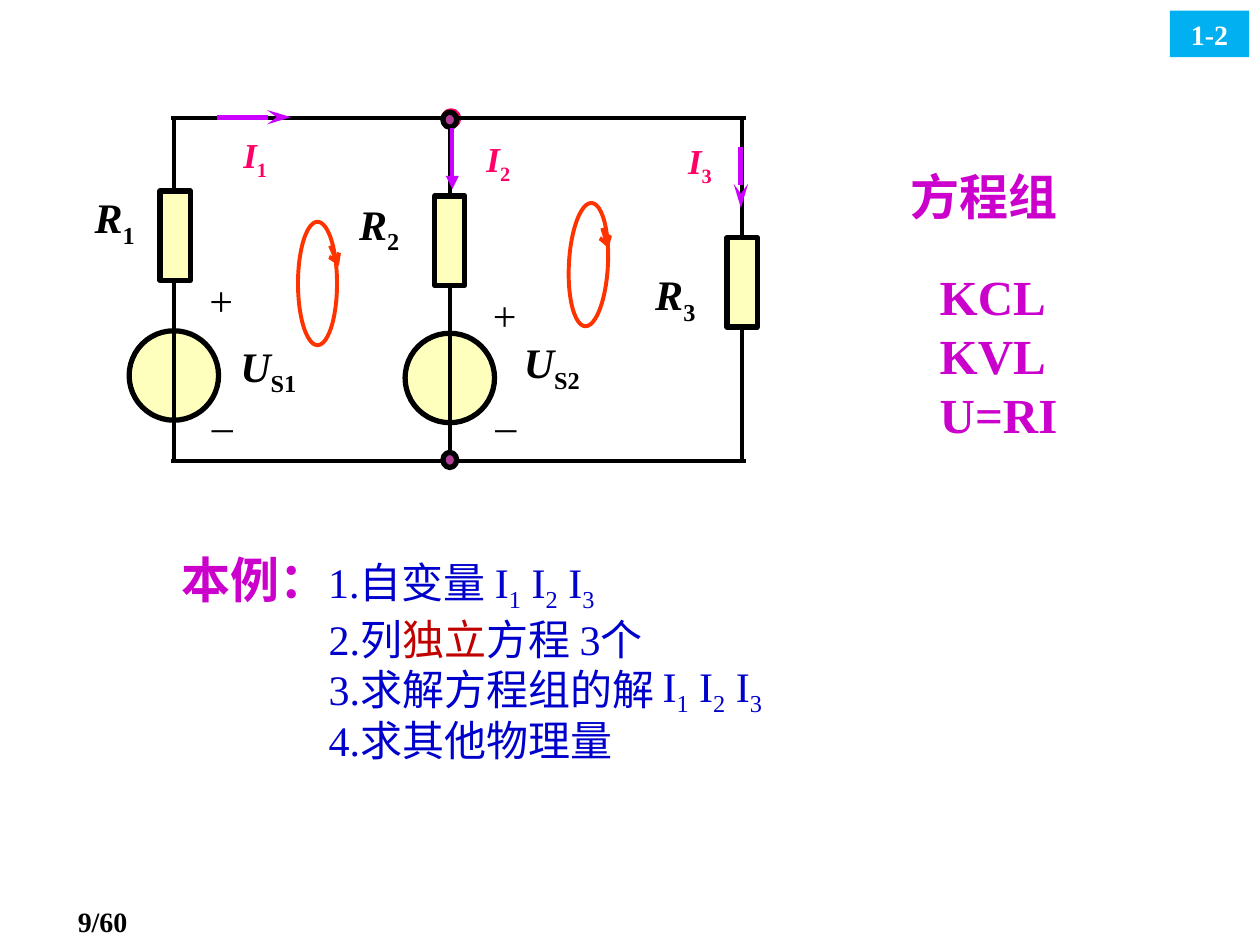
from dataclasses import dataclass

from lxml.etree import SubElement
from pptx import Presentation
from pptx.dml.color import RGBColor
from pptx.enum.shapes import MSO_CONNECTOR as Connector, MSO_SHAPE as Preset
from pptx.enum.text import MSO_ANCHOR as Anchor, PP_ALIGN as Align
from pptx.oxml.ns import qn
from pptx.util import Inches, Pt

FONT = "Times New Roman"
BLACK, WHITE, CREAM = "000000", "FFFFFF", "FFFFBD"
MAGENTA, BLUE, RED = "CC00CC", "0000CC", "C00000"
PINK, VIOLET, ORANGE, PLUM = "FF0066", "CC00FF", "FF3300", "B13F9A"
TOP, BOTTOM = 0.94, 3.66
LEFT_BRANCH, MIDDLE_BRANCH, RIGHT_BRANCH = 1.38, 3.57, 5.89


@dataclass(frozen=True)
class Style:
    size: float
    color: str
    bold: bool = False
    italic: bool = False
    subscript: bool = False


@dataclass(frozen=True)
class Label:
    symbol: str
    index: str
    left: float
    top: float
    width: float
    height: float = 0.56
    size: float = 24
    color: str = BLACK


@dataclass(frozen=True)
class Arrow:
    start: tuple[float, float]
    end: tuple[float, float]
    color: str
    width: float
    head: str
    length: str = "med"


Run = tuple[str, Style]

LABELS = [
    Label("R", "1", 0.65, 1.47, 0.52),
    Label("R", "2", 2.75, 1.52, 0.52),
    Label("R", "3", 5.1, 2.08, 0.52),
    Label("U", "S1", 1.73, 2.65, 0.8),
    Label("U", "S2", 3.98, 2.62, 0.8),
    Label("I", "1", 1.83, 1.01, 0.39, 0.48, 20, PINK),
    Label("I", "2", 3.76, 1.04, 0.39, 0.48, 20, PINK),
    Label("I", "3", 5.36, 1.06, 0.39, 0.48, 20, PINK),
]
POLARITIES = [("+", 1.56, 2.13), ("–", 1.57, 3.12), ("+", 3.81, 2.25), ("–", 3.82, 3.12)]
ARROWS = [
    Arrow((2.62, 1.95), (2.69, 2.11), ORANGE, 2.25, "arrow"),
    Arrow((4.78, 1.81), (4.83, 1.97), ORANGE, 2.25, "arrow"),
    Arrow((1.72, 0.93), (2.31, 0.93), VIOLET, 2.75, "stealth", "lg"),
    Arrow((3.59, 1.02), (3.59, 1.5), VIOLET, 2.5, "triangle"),
    Arrow((5.88, 1.17), (5.88, 1.65), VIOLET, 2.75, "stealth", "lg"),
]


def rgb(color: str) -> RGBColor:
    return RGBColor.from_string(color)


def write_paragraph(paragraph, runs: list[Run], align=Align.LEFT, indent: float = 0) -> None:
    paragraph.alignment = align
    if indent:
        paragraph._p.get_or_add_pPr().set("marL", str(Inches(indent)))
    for text, style in runs:
        run = paragraph.add_run()
        run.text = text
        font = run.font
        font.name, font.size = FONT, Pt(style.size)
        font.bold, font.italic = style.bold, style.italic
        font.color.rgb = rgb(style.color)
        if style.subscript:
            font._element.set("baseline", "-25000")


def add_text(slide, left, top, width, height, lines: list[list[Run]], align=Align.LEFT,
             anchor=Anchor.TOP, wrap: bool = True, indent: float = 0) -> None:
    box = slide.shapes.add_textbox(Inches(left), Inches(top), Inches(width), Inches(height))
    frame = box.text_frame
    frame.word_wrap, frame.vertical_anchor = wrap, anchor
    for number, runs in enumerate(lines):
        paragraph = frame.add_paragraph() if number else frame.paragraphs[0]
        write_paragraph(paragraph, runs, align, indent if number else 0)


def add_figure(slide, preset, center_x, center_y, width, height,
               fill: str | None, line: str | None = BLACK, weight: float = 3):
    shape = slide.shapes.add_shape(preset, Inches(center_x - width / 2),
                                   Inches(center_y - height / 2), Inches(width), Inches(height))
    shape.shadow.inherit = False
    if fill:
        shape.fill.solid()
        shape.fill.fore_color.rgb = rgb(fill)
    else:
        shape.fill.background()
    if line:
        shape.line.color.rgb = rgb(line)
        shape.line.width = Pt(weight)
    else:
        shape.line.fill.background()
    return shape


def add_line(slide, start, end, color: str = BLACK, width: float = 2.25,
             head: str | None = None, length: str = "med"):
    points = [Inches(value) for value in (*start, *end)]
    connector = slide.shapes.add_connector(Connector.STRAIGHT, *points)
    connector.line.color.rgb = rgb(color)
    connector.line.width = Pt(width)
    properties = connector._element.spPr
    if head:
        SubElement(properties.find(qn("a:ln")), qn("a:tailEnd"), type=head, len=length)
    SubElement(properties, qn("a:effectLst"))
    return connector


def add_resistor(slide, center_x: float, center_y: float):
    return add_figure(slide, Preset.RECTANGLE, center_x, center_y, 0.24, 0.71, CREAM)


def add_source(slide, center_x: float, center_y: float) -> None:
    add_figure(slide, Preset.OVAL, center_x, center_y, 0.71, 0.71, CREAM)


def add_label(slide, label: Label) -> None:
    runs = [(label.symbol, Style(label.size, label.color, True, True)),
            (label.index, Style(label.size, label.color, True, subscript=True))]
    add_text(slide, label.left, label.top, label.width, label.height, [runs],
             Align.CENTER, Anchor.MIDDLE, wrap=False)


def draw_circuit(slide) -> None:
    add_figure(slide, Preset.OVAL, 3.58, TOP, 0.12, 0.12, PINK, PINK)
    add_source(slide, LEFT_BRANCH, 2.98)
    add_source(slide, MIDDLE_BRANCH, 3)
    for level in (TOP, BOTTOM):
        add_line(slide, (1.36, level), (5.92, level))
    add_line(slide, (LEFT_BRANCH, TOP), (LEFT_BRANCH, BOTTOM))
    add_line(slide, (MIDDLE_BRANCH, 1.01), (MIDDLE_BRANCH, 3.62))
    add_resistor(slide, 1.39, 1.87)
    add_resistor(slide, MIDDLE_BRANCH, 1.91)
    load = add_resistor(slide, RIGHT_BRANCH, 2.24)
    for level, edge, site in ((TOP, 1.88, 0), (BOTTOM, 2.59, 2)):
        wire = add_line(slide, (RIGHT_BRANCH, level), (RIGHT_BRANCH, edge))
        wire.end_connect(load, site)
    for level in (0.95, 3.65):
        add_figure(slide, Preset.OVAL, MIDDLE_BRANCH, level, 0.11, 0.12, PLUM)
    for center_x, center_y, rotation in ((2.52, 2.25, 0), (4.67, 2.1, 3)):
        loop = add_figure(slide, Preset.OVAL, center_x, center_y, 0.31, 0.98, None, ORANGE, 2.25)
        loop.rotation = rotation
    for arrow in ARROWS:
        add_line(slide, arrow.start, arrow.end, arrow.color, arrow.width, arrow.head, arrow.length)
    for label in LABELS:
        add_label(slide, label)
    for sign, left, top in POLARITIES:
        add_text(slide, left, top, 0.39, 0.5, [[(sign, Style(24, BLACK))]],
                 Align.CENTER, Anchor.MIDDLE, wrap=False)


def draw_notes(slide) -> None:
    heading, body = Style(28, MAGENTA, True), Style(24, BLUE)
    index = Style(24, BLUE, subscript=True)
    currents = [("I", body), ("1", index), (" I", body), ("2", index), (" I", body), ("3", index)]
    add_text(slide, 7.13, 1.27, 1.91, 0.57, [[("方程组", heading)]])
    add_text(slide, 7.36, 2.07, 1.91, 1.5, [[(law, heading)] for law in ("KCL", "KVL", "U=RI")])
    steps = [
        [("本例：", heading), ("1.自变量 ", body), *currents],
        [("2.列", body), ("独立", Style(24, RED)), ("方程 3个", body)],
        [("3.求解方程组的解", body)],
        [("4.求其他物理量", body)],
    ]
    add_text(slide, 1.34, 4.31, 4.19, 1.81, steps, indent=1.17)
    add_text(slide, 5.16, 5.19, 1.22, 0.56, [currents])


def draw_page_marks(slide) -> None:
    add_text(slide, 0.11, 7.13, 1, 0.37, [[("9/60", Style(16, BLACK, True))]], Align.RIGHT)
    badge = add_figure(slide, Preset.RECTANGLE, 9.6, 0.27, 0.63, 0.37, "00B0F0", None)
    badge.text_frame.vertical_anchor = Anchor.MIDDLE
    write_paragraph(badge.text_frame.paragraphs[0], [("1-2", Style(16, WHITE, True))], Align.CENTER)


def main() -> None:
    """Build the slide on solving a two-source circuit with Kirchhoff's laws."""
    presentation = Presentation()
    presentation.slide_width, presentation.slide_height = Inches(10), Inches(7.5)
    slide = presentation.slides.add_slide(presentation.slide_layouts[6])
    draw_page_marks(slide)
    draw_circuit(slide)
    draw_notes(slide)
    presentation.save("out.pptx")


if __name__ == "__main__":
    main()
